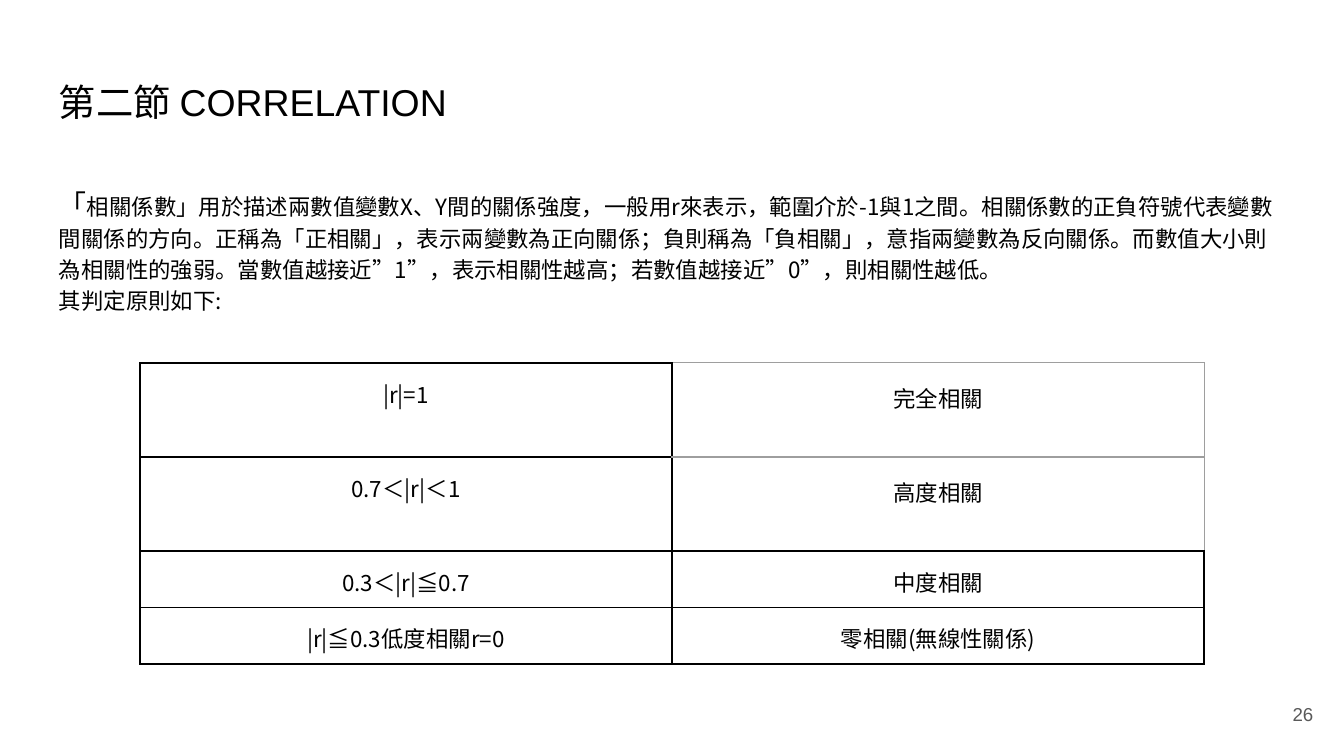
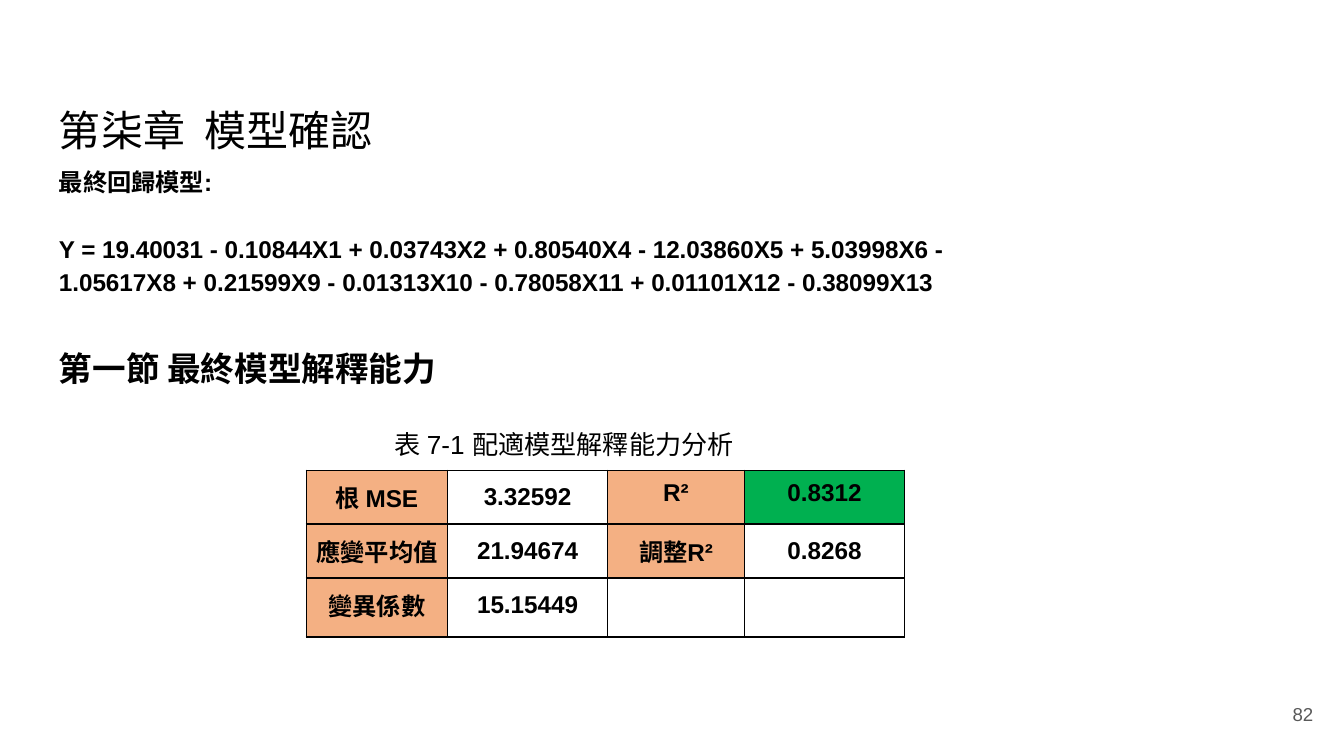
"""Build two slides on correlation and model checks, each with a table."""
from lxml import etree
from pptx import Presentation
from pptx import util as u
from pptx.dml.color import RGBColor
from pptx.enum import text as t
from pptx.oxml.ns import qn

BLACK = RGBColor(0x00, 0x00, 0x00)
WHITE = RGBColor(0xFF, 0xFF, 0xFF)
GREY = RGBColor(0x59, 0x59, 0x59)
PALE = RGBColor(0x9E, 0x9E, 0x9E)
PEACH = RGBColor(0xF4, 0xB0, 0x83)
GREEN = RGBColor(0x00, 0xB0, 0x50)
ARIAL = "Arial"
NOTO = "Noto Sans CJK TC"
LEFT, MID, RIGHT = t.PP_ALIGN.LEFT, t.PP_ALIGN.CENTER, t.PP_ALIGN.RIGHT


def put(par, text, size=12, font=ARIAL, color=BLACK, bold=False,
        align=LEFT, line=1.15, before=0, indent=(0, 0)):
    """Add formatted text to a paragraph."""
    par.alignment = align
    par.line_spacing = line
    par.space_before = u.Pt(before)
    if any(indent):
        props = par._p.get_or_add_pPr()
        props.set("marL", str(u.Inches(indent[0])))
        props.set("indent", str(u.Inches(indent[1])))
    run = par.add_run()
    run.text = text
    run.font.size = u.Pt(size)
    run.font.name = font
    run.font.bold = bold
    run.font.color.rgb = color
    east = etree.SubElement(run._r.get_or_add_rPr(), qn("a:ea"))
    east.set("typeface", NOTO)


def rule(cell, edges):
    """Draw cell borders from a map of side to colour and width."""
    props = cell._tc.get_or_add_tcPr()
    for spot, side in enumerate("LRTB"):
        color, width = edges[side]
        line = etree.Element(qn("a:ln" + side), w=str(u.Pt(width)))
        fill = etree.SubElement(line, qn("a:solidFill"))
        etree.SubElement(fill, qn("a:srgbClr"), val=str(color))
        props.insert(spot, line)


deck = Presentation()
deck.slide_width = u.Inches(10)
deck.slide_height = u.Inches(10 * 9 / 16)
first, last = [deck.slides.add_slide(deck.slide_layouts[6]) for _ in range(2)]

TOP, CENTER = t.MSO_ANCHOR.TOP, t.MSO_ANCHOR.MIDDLE
TITLE = (0.34, 0.49, 9.32, 0.63)
NUMBER = (9.27, 5.1, 0.6, 0.43)
num = dict(size=10, color=GREY, align=RIGHT, line=1)
body = dict(size=12, font=NOTO)
strong = dict(size=13, bold=True)

boxes = [
    (first, TITLE, TOP, 0.1, [
        [("第二節 CORRELATION", dict(size=20, line=1))]]),
    (first, (0.34, 1.26, 9.32, 3.74), TOP, 0.1, [
        [("「", dict(size=15)),
         ("相關係數」用於描述兩數值變數X、Y間的關係強度，一般用r來表示，"
          "範圍介於-1與1之間。相關係數的正負符號代表變數間關係的方向。"
          "正稱為「正相關」，表示兩變數為正向關係；負則稱為「負相關」，"
          "意指兩變數為反向關係。而數值大小則為相關性的強弱。"
          "當數值越接近”1”，表示相關性越高；若數值越接近”0”，則相關性越低。",
          body)],
        [("其判定原則如下:", body)]]),
    (first, NUMBER, CENTER, 0.1, [[("26", num)]]),
    (last, TITLE, TOP, 0.1, [
        [("第柒章  模型確認", dict(size=22.5, line=1.5))]]),
    (last, (0.34, 0.79, 7.23, 1.45), TOP, 0.42, [
        [("最終回歸模型:", strong)],
        [("Y = 19.40031 - 0.10844X1 + 0.03743X2 + 0.80540X4 - 12.03860X5 "
          "+ 5.03998X6 - 1.05617X8 + 0.21599X9 - 0.01313X10 - 0.78058X11 "
          "+ 0.01101X12 - 0.38099X13", dict(strong, before=18))]]),
    (last, (0.34, 2.37, 6.96, 1.23), CENTER, 0.1, [
        [("第一節 最終模型解釋能力", dict(size=18, bold=True))],
        [("表 7-1 配適模型解釋能力分析",
          dict(size=14, before=19, indent=(2, 0.5)))]]),
    (last, NUMBER, CENTER, 0.1, [[("82", num)]]),
]
for slide, at, anchor, top, pars in boxes:
    frame = slide.shapes.add_textbox(*map(u.Inches, at)).text_frame
    frame.word_wrap = True
    frame.vertical_anchor = anchor
    frame.margin_left = frame.margin_right = u.Inches(0.1)
    frame.margin_top, frame.margin_bottom = u.Inches(top), u.Inches(0.1)
    for i, runs in enumerate(pars):
        par = frame.add_paragraph() if i else frame.paragraphs[0]
        for words, look in runs:
            put(par, words, **look)

tables = [
    (first, 1.04, 2.7, [3.96, 3.96], [0.7, 0.7, 0.42, 0.42], body, [
        ["|r|=1", "完全相關"],
        ["0.7＜|r|＜1", "高度相關"],
        ["0.3＜|r|≦0.7", "中度相關"],
        ["|r|≦0.3低度相關r=0", "零相關(無線性關係)"]]),
    (last, 2.28, 3.5, [1.05, 1.19, 1.02, 1.19], [0.4, 0.4, 0.44], strong, [
        ["根 MSE", "3.32592", "R²", "0.8312"],
        ["應變平均值", "21.94674", "調整R²", "0.8268"],
        ["變異係數", "15.15449", "", ""]]),
]
for slide, left, top, cols, rows, look, data in tables:
    size = map(u.Inches, (left, top, sum(cols), sum(rows)))
    grid = slide.shapes.add_table(len(rows), len(cols), *size).table
    grid.first_row = grid.horz_banding = False
    for col, wide in zip(grid.columns, cols):
        col.width = u.Inches(wide)
    for row, high in zip(grid.rows, rows):
        row.height = u.Inches(high)
    for r, line in enumerate(data):
        for c, words in enumerate(line):
            cell = grid.cell(r, c)
            pale = slide is first and c == 1 and r < 2
            pad = u.Inches(0.1 if pale else 0.07)
            cell.margin_left = cell.margin_right = pad
            cell.margin_top = cell.margin_bottom = pad
            color = WHITE
            if slide is last and words:
                color = PEACH if c % 2 == 0 else WHITE
                color = GREEN if words == "0.8312" else color
            if color == WHITE:
                cell.fill.background()
            else:
                cell.fill.solid()
                cell.fill.fore_color.rgb = color
            edges = dict.fromkeys("LRTB", (BLACK, 1))
            if pale:
                edges.update(dict.fromkeys("RT" if r else "RTB", (PALE, 0.75)))
            rule(cell, edges)
            if words:
                space = 1.15 if slide is first or color == WHITE else 1
                put(cell.text_frame.paragraphs[0], words,
                    **dict(look, align=MID, line=space))

deck.save("out.pptx")
